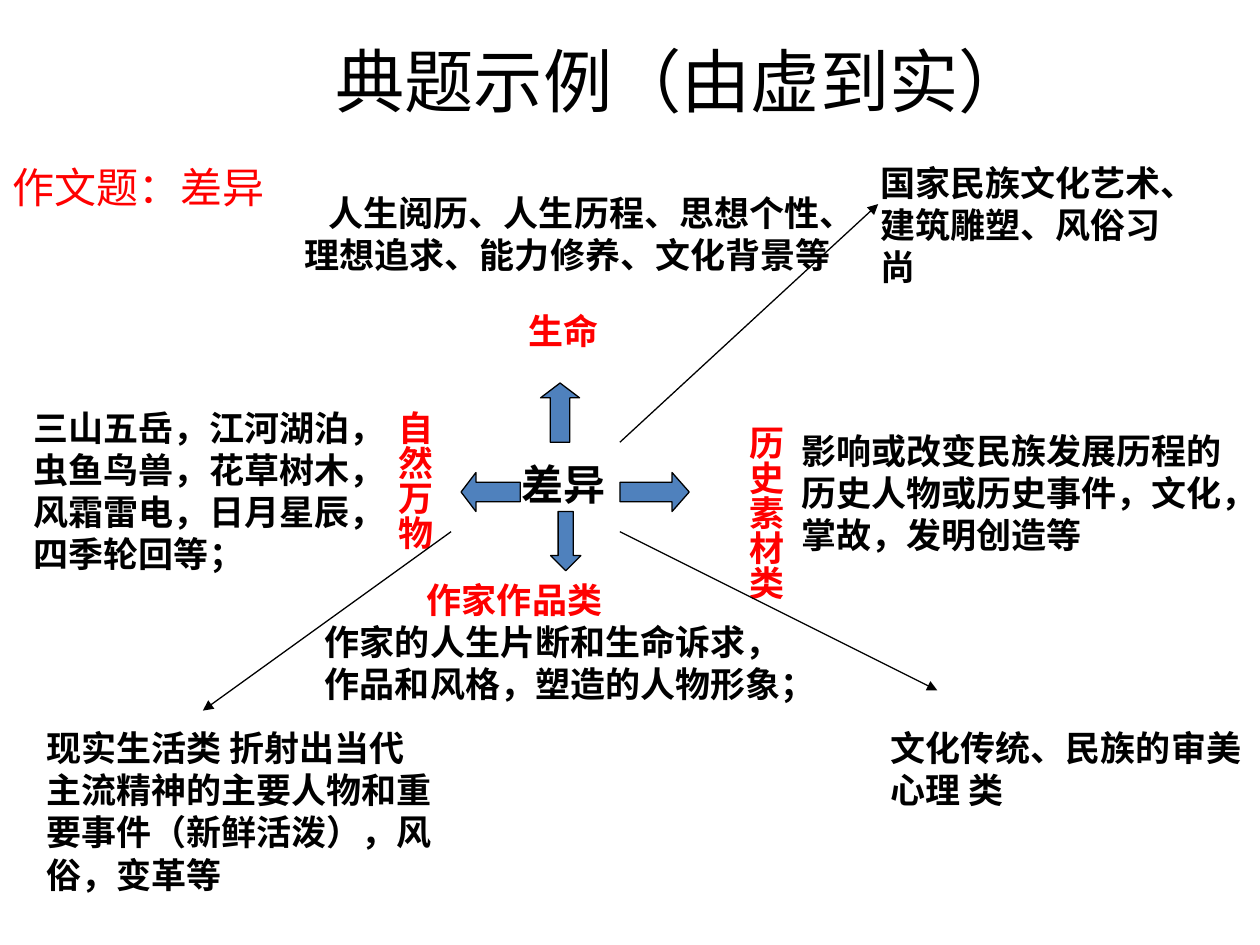
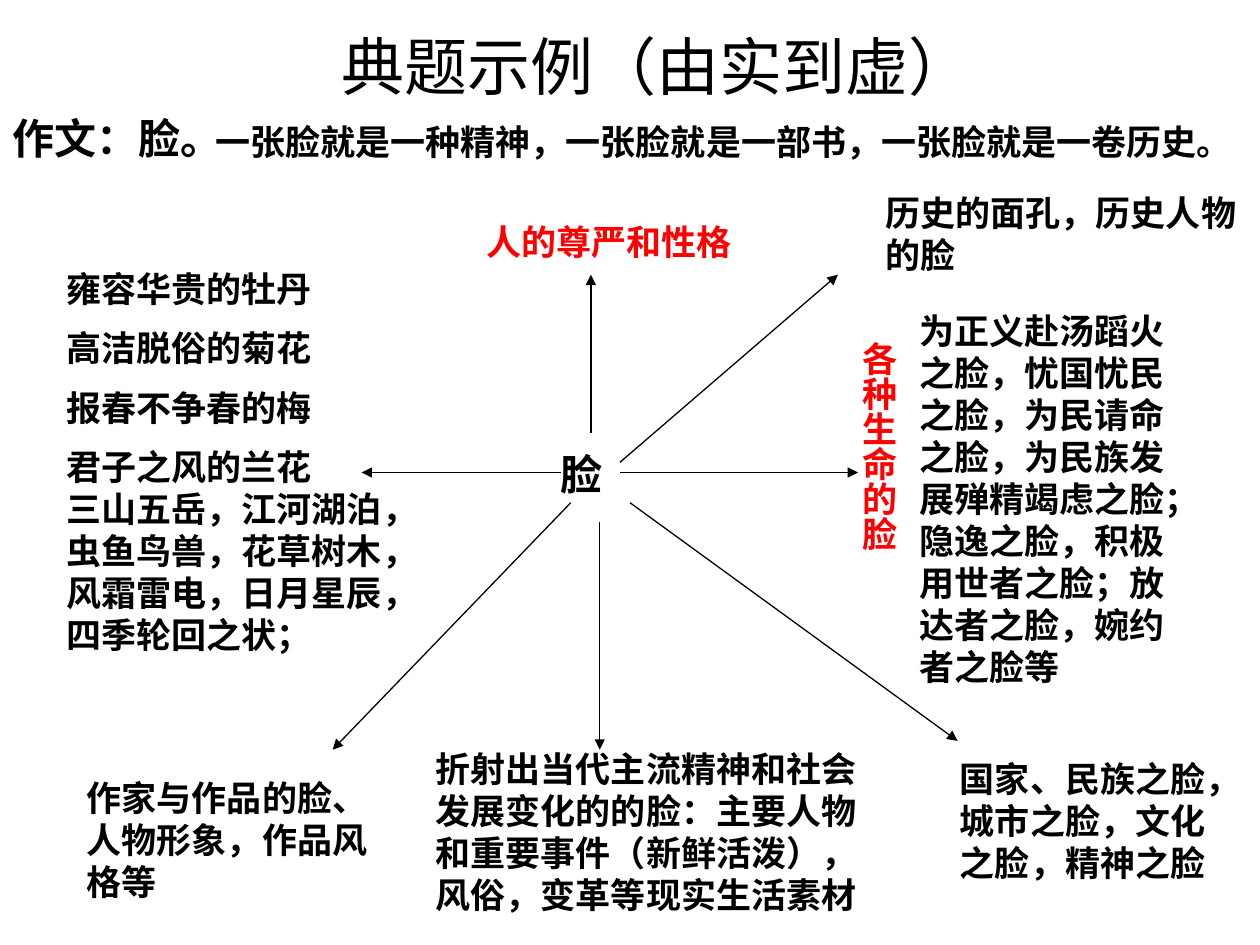
from lxml import etree
from pptx import Presentation
from pptx.dml.color import RGBColor
from pptx.enum import shapes, text
from pptx.oxml import ns
from pptx.util import Inches, Pt

BLACK, RED, BLUE = "000000", "FF0000", "4F81BD"
HEAD_FONT, LABEL_FONT = "Calibri", "Arial"
LINE_WIDTH = 0.75


def color(hex_value):
    return RGBColor.from_string(hex_value)


def style(font, size, hex_value=BLACK, bold=True, name=LABEL_FONT):
    font.size, font.bold, font.name = Pt(size), bold, name
    font.color.rgb = color(hex_value)


def add_slide(prs, title, top, height, size, shift):
    s = prs.slides.add_slide(prs.slide_layouts[5])
    sp = s.shapes.title
    sp.left, sp.top = Inches(0.5), Inches(top)
    sp.width, sp.height = Inches(9), Inches(height)
    tf = sp.text_frame
    tf.text = title
    tf.auto_size = text.MSO_AUTO_SIZE.NONE
    tf.vertical_anchor = text.MSO_ANCHOR.MIDDLE
    tf.margin_left = Inches(0.1 + 2 * shift)
    p = tf.paragraphs[0]
    p.alignment = text.PP_ALIGN.CENTER
    style(p.font, size, bold=False, name=HEAD_FONT)
    return s


def add_text(s, box, *lines, hex_value=BLACK, size=20, bold=True,
             name=LABEL_FONT, indent=0, gap=0):
    sp = s.shapes.add_textbox(*map(Inches, box))
    tf = sp.text_frame
    tf.word_wrap = True
    for i, line in enumerate(lines):
        p = tf.paragraphs[0] if i == 0 else tf.add_paragraph()
        p.text = line
        if i == 0 and indent:
            p._p.get_or_add_pPr().set("indent", str(Inches(indent)))
        if i and gap:
            p.space_before = Pt(gap)
        style(p.font, size, hex_value, bold, name)
    return tf


def add_vertical_text(s, box, line):
    tf = add_text(s, box, line, hex_value=RED)
    tf._txBody.bodyPr.set("vert", "eaVert")


def add_prompt(s, box, line, hex_value, bold):
    add_text(s, box, line, hex_value=hex_value, size=24, bold=bold,
             name=HEAD_FONT)


def add_block_arrow(s, kind, box, head):
    sp = s.shapes.add_shape(kind, *map(Inches, box))
    sp.adjustments[1] = head
    sp.shadow.inherit = False
    sp.fill.solid()
    sp.fill.fore_color.rgb = color(BLUE)
    sp.line.color.rgb = color(BLACK)
    sp.line.width = Pt(LINE_WIDTH)


def add_ray(s, start, end):
    c = s.shapes.add_connector(shapes.MSO_CONNECTOR.STRAIGHT,
                               *map(Inches, start + end))
    c.line.color.rgb = color(BLACK)
    c.line.width = Pt(LINE_WIDTH)
    tail = etree.SubElement(c.line._get_or_add_ln(), ns.qn("a:tailEnd"))
    tail.set("type", "triangle")
    etree.SubElement(c._element.spPr, ns.qn("a:effectLst"))


def build_difference(prs):
    s = add_slide(prs, "典题示例（由虚到实）", 0.3, 0.66, 39.6, 0.41)
    add_prompt(s, (0, 1.23, 8.92, 5.44), "作文题：差异", RED, False)
    add_text(s, (3.9, 3.59, 1.73, 0.5), "差异", size=24, indent=0.14)

    kinds = shapes.MSO_SHAPE
    for kind, box, head in (
        (kinds.UP_ARROW, (4.29, 3.04, 0.31, 0.47), 0.38),
        (kinds.LEFT_ARROW, (3.66, 3.75, 0.47, 0.31), 0.38),
        (kinds.RIGHT_ARROW, (4.92, 3.75, 0.55, 0.31), 0.44),
        (kinds.DOWN_ARROW, (4.37, 4.06, 0.24, 0.47), 0.5),
    ):
        add_block_arrow(s, kind, box, head)

    add_text(s, (3.43, 2.41, 2.84, 0.44), "生命", hex_value=RED, indent=0.67)
    add_text(s, (2.32, 1.47, 4.57, 0.77),
             "人生阅历、人生历程、思想个性、理想追求、能力修养、文化背景等",
             indent=0.19)
    add_vertical_text(s, (2.97, 3.16, 0.54, 1.34), "自然万物")
    add_vertical_text(s, (5.75, 3.28, 0.54, 1.65), "历史素材类")
    works = add_text(s, (2.48, 4.54, 4.02, 1.11), "作家作品类",
                     "作家的人生片断和生命诉求，作品和风格，塑造的人物形象；",
                     indent=0.81)
    works.paragraphs[0].font.color.rgb = color(RED)

    for box, line in (
        ((0.17, 3.18, 2.84, 1.45),
         "三山五岳，江河湖泊，虫鱼鸟兽，花草树木，风霜雷电，日月星辰，四季轮回等；"),
        ((6.26, 3.36, 3.74, 1.11),
         "影响或改变民族发展历程的历史人物或历史事件，文化，掌故，发明创造等"),
        ((0.27, 5.72, 3.31, 1.45),
         "现实生活类 折射出当代主流精神的主要人物和重要事件（新鲜活泼），风俗，变革等"),
        ((6.97, 5.72, 3.03, 0.77), "文化传统、民族的审美心理 类"),
        ((6.89, 1.23, 2.52, 1.11), "国家民族文化艺术、建筑雕塑、风俗习尚"),
    ):
        add_text(s, box, line)

    for start, end in (
        ((3.58, 4.22), (1.61, 5.64)),
        ((4.92, 4.22), (7.44, 5.48)),
        ((4.92, 3.51), (6.97, 1.62)),
    ):
        add_ray(s, start, end)


def build_face(prs):
    s = add_slide(prs, "典题示例（由实到虚）", 0.15, 0.74, 36, 0.21)
    add_prompt(s, (0, 0.84, 10, 5.83), "作文：脸。", BLACK, True)
    add_text(s, (4.13, 3.51, 1.24, 0.5), "脸", size=24, indent=0.22)
    add_text(s, (3.27, 1.7, 2.84, 0.44), "人的尊严和性格",
             hex_value=RED, indent=0.49)
    add_vertical_text(s, (6.65, 2.61, 0.54, 2.28), "各种生命的脸")
    nature = add_text(
        s, (0.43, 2.07, 2.83, 3.8), "雍容华贵的牡丹", "高洁脱俗的菊花",
        "报春不争春的梅", "君子之风的兰花",
        "三山五岳，江河湖泊，虫鱼鸟兽，花草树木，风霜雷电，日月星辰，四季轮回之状；",
        gap=10)
    nature.paragraphs[-1].space_before = Pt(0)

    for box, line in (
        ((1.61, 0.91, 8.19, 0.44),
         "一张脸就是一种精神，一张脸就是一部书，一张脸就是一卷历史。"),
        ((6.93, 1.47, 3.07, 0.77), "历史的面孔，历史人物的脸"),
        ((0.59, 6.11, 2.68, 1.11), "作家与作品的脸、人物形象，作品风格等"),
        ((3.36, 5.88, 3.78, 1.45),
         "折射出当代主流精神和社会发展变化的的脸：主要人物和重要事件（新鲜活泼），"
         "风俗，变革等现实生活素材"),
        ((7.2, 2.41, 2.36, 3.13),
         "为正义赴汤蹈火之脸，忧国忧民之脸，为民请命之脸，为民族发展殚精竭虑之脸；"
         "隐逸之脸，积极用世者之脸；放达者之脸，婉约者之脸等"),
        ((7.52, 5.96, 2.28, 1.11),
         "国家、民族之脸，城市之脸，文化之脸，精神之脸"),
    ):
        add_text(s, box, line)

    for start, end in (
        ((4.69, 3.44), (4.69, 2.18)),
        ((4.92, 3.67), (6.65, 2.18)),
        ((4.45, 3.75), (2.87, 3.75)),
        ((4.53, 3.99), (2.64, 5.95)),
        ((4.76, 4.14), (4.76, 5.95)),
        ((4.92, 3.75), (6.81, 3.75)),
        ((5, 3.99), (7.6, 5.88)),
    ):
        add_ray(s, start, end)


def main():
    prs = Presentation()
    prs.slide_width, prs.slide_height = Inches(10), Inches(7.5)
    build_difference(prs)
    build_face(prs)
    prs.save("out.pptx")


if __name__ == "__main__":
    main()
